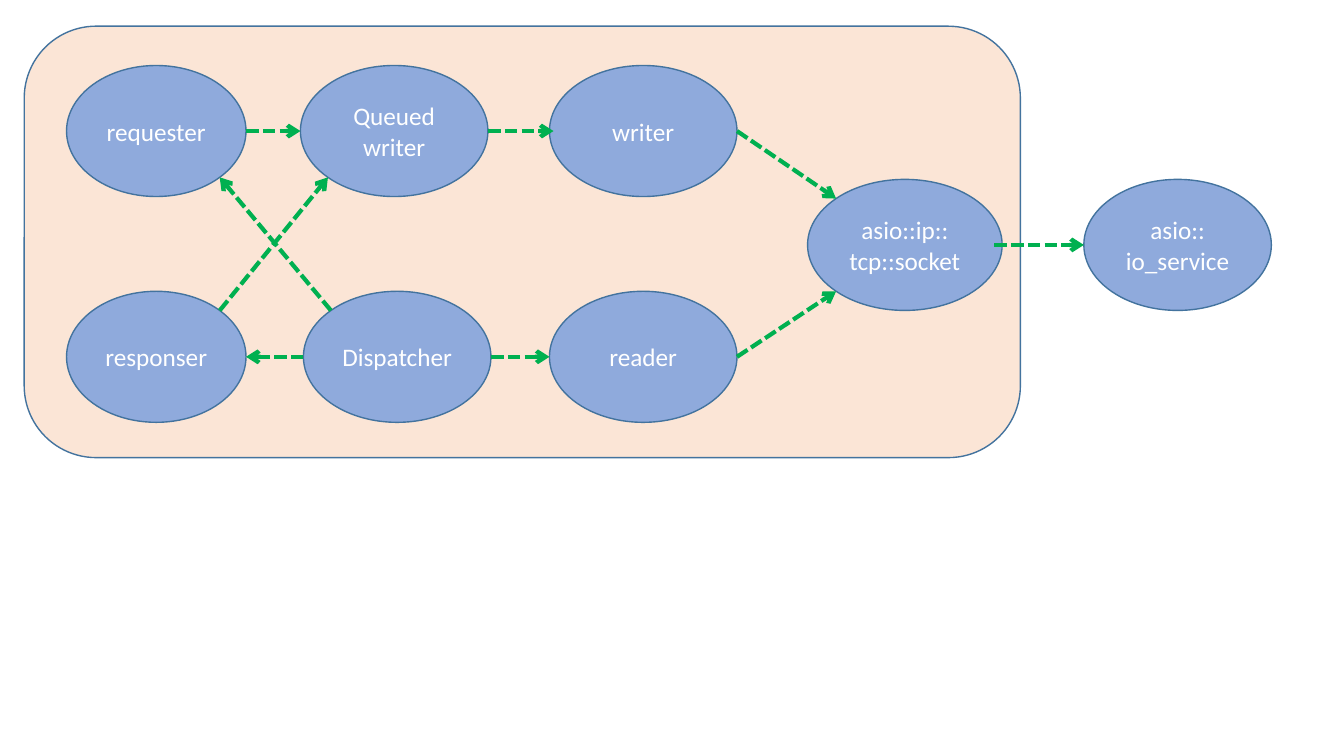
"""Builds a slide of the connection components and the calls between them."""
from math import cos, radians, sin

from lxml import etree
from pptx import Presentation
from pptx.dml.color import RGBColor
from pptx.enum.dml import MSO_LINE
from pptx.enum.shapes import MSO_CONNECTOR, MSO_SHAPE
from pptx.enum.text import MSO_ANCHOR, PP_ALIGN
from pptx.oxml.ns import qn
from pptx.util import Inches, Pt

ELLIPSE, ROUNDED = MSO_SHAPE.OVAL, MSO_SHAPE.ROUNDED_RECTANGLE
STRAIGHT, DASHED = MSO_CONNECTOR.STRAIGHT, MSO_LINE.SQUARE_DOT
MIDDLE, CENTER = MSO_ANCHOR.MIDDLE, PP_ALIGN.CENTER
PANEL, COMPONENT, OUTLINE = "FBE5D6", "8FAADC", "43739E"
CALL, LABEL = "00B050", "FFFFFF"

RIGHT, LOWER_RIGHT, LOWER_LEFT, LEFT, UPPER_LEFT, UPPER_RIGHT = 0, 45, 135, 180, 225, 315
HEIGHT = 1.3
TOP_ROW, BOTTOM_ROW = 0.65, 2.89
MIDDLE_ROW = (TOP_ROW + BOTTOM_ROW) / 2 + 0.01

COMPONENTS = {
    "requester": (0.66, TOP_ROW, 1.78, ["requester"]),
    "responser": (0.66, BOTTOM_ROW, 1.78, ["responser"]),
    "queue": (2.98, TOP_ROW, 1.86, ["Queued", "writer"]),
    "dispatcher": (3.01, BOTTOM_ROW, 1.86, ["Dispatcher"]),
    "writer": (5.45, TOP_ROW, 1.86, ["writer"]),
    "reader": (5.45, BOTTOM_ROW, 1.86, ["reader"]),
    "socket": (8.01, MIDDLE_ROW, 1.93, ["asio::ip::", "tcp::socket"]),
    "service": (10.75, MIDDLE_ROW, 1.86, ["asio::", "io_service"]),
}
CALLS = [
    ("writer", RIGHT, 0, "socket", UPPER_LEFT, 0),
    ("reader", RIGHT, 0, "socket", LOWER_LEFT, 0),
    ("dispatcher", RIGHT, 0, "reader", LEFT, 0),
    ("queue", RIGHT, 0, "writer", LEFT, 0.04),
    ("dispatcher", LEFT, 0, "responser", RIGHT, 0),
    ("requester", RIGHT, 0, "queue", LEFT, 0),
    ("responser", UPPER_RIGHT, 0, "queue", LOWER_LEFT, 0),
    ("dispatcher", UPPER_LEFT, 0, "requester", LOWER_RIGHT, 0),
    ("socket", RIGHT, -0.08, "service", LEFT, 0),
]


def rgb(value):
    return RGBColor.from_string(value)


def rim(component, angle, shift):
    left, top, width, _ = COMPONENTS[component]
    x = left + width / 2 * (1 + cos(radians(angle))) + shift
    y = top + HEIGHT / 2 * (1 + sin(radians(angle)))
    return Inches(x), Inches(y)


deck = Presentation()
deck.slide_width, deck.slide_height = Inches(13.33), Inches(7.5)
slide = deck.slides.add_slide(deck.slide_layouts[6])

outlines = [(ROUNDED, PANEL, 0.24, 0.26, 9.88, 4.28, [])]
outlines += [(ELLIPSE, COMPONENT, left, top, width, HEIGHT, lines)
             for left, top, width, lines in COMPONENTS.values()]

for kind, fill, left, top, width, height, lines in outlines:
    body = slide.shapes.add_shape(
        kind, Inches(left), Inches(top), Inches(width), Inches(height))
    body.shadow.inherit = False
    body.fill.solid()
    body.fill.fore_color.rgb = rgb(fill)
    body.line.color.rgb = rgb(OUTLINE)
    body.line.width = Pt(1)
    frame = body.text_frame
    frame.vertical_anchor = MIDDLE
    for number, words in enumerate(lines):
        paragraph = frame.add_paragraph() if number else frame.paragraphs[0]
        paragraph.alignment = CENTER
        run = paragraph.add_run()
        run.text = words
        run.font.name, run.font.size = "Calibri", Pt(18)
        run.font.color.rgb = rgb(LABEL)

for caller, exit_angle, exit_shift, callee, entry_angle, entry_shift in CALLS:
    call = slide.shapes.add_connector(
        STRAIGHT, *rim(caller, exit_angle, exit_shift),
        *rim(callee, entry_angle, entry_shift))
    call.line.color.rgb = rgb(CALL)
    call.line.width = Pt(3)
    call.line.dash_style = DASHED
    properties = call.element.spPr
    etree.SubElement(properties.find(qn("a:ln")), qn("a:tailEnd"), type="arrow")
    etree.SubElement(properties, qn("a:effectLst"))

deck.save("out.pptx")
